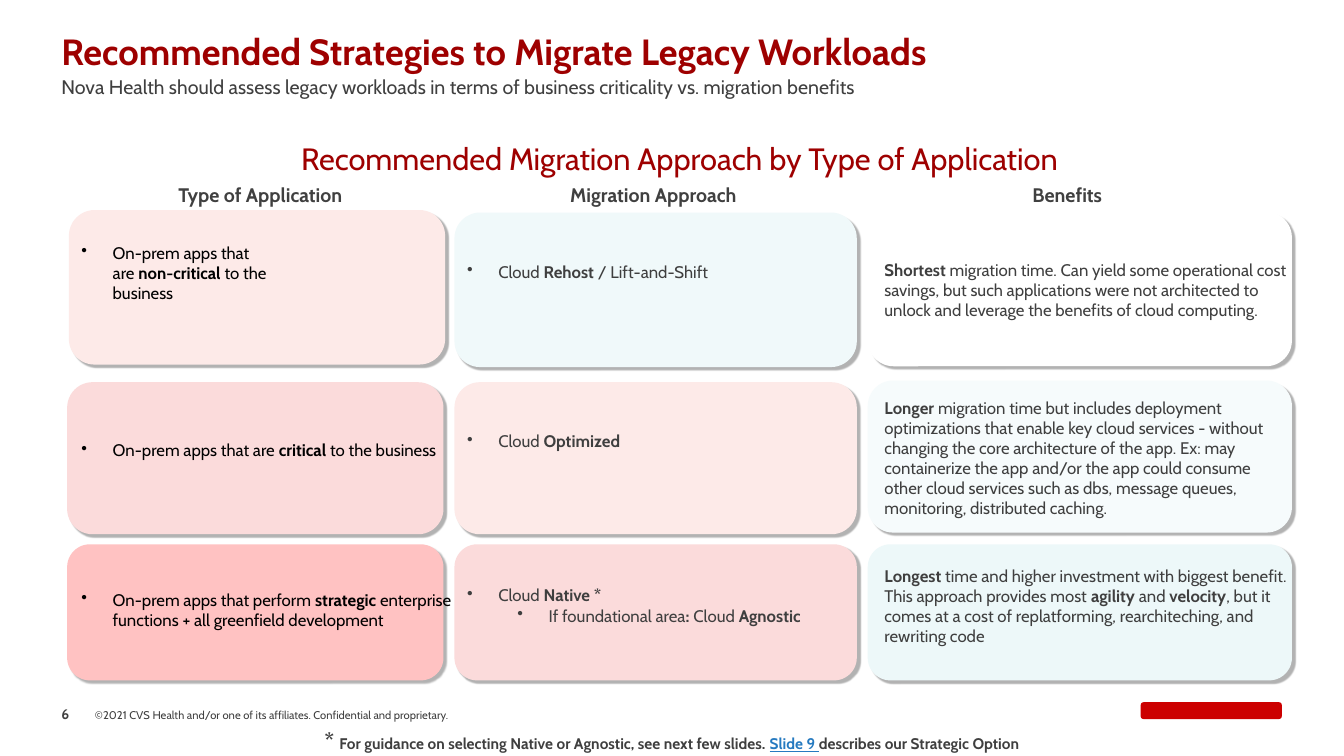
from dataclasses import dataclass

from lxml import etree
from pptx import Presentation
from pptx import util as u
from pptx.dml.color import RGBColor
from pptx.enum import shapes, text
from pptx.oxml.ns import qn


@dataclass(frozen=True)
class Theme:
    """Colours, type sizes and font of the slide."""
    font: str = "Cabin"
    red: str = "9E0000"
    mark: str = "CC0000"
    body: str = "3F3F3F"
    head: str = "404040"
    black: str = "000000"
    link: str = "267AC0"
    title: int = 26
    section: int = 22
    label: int = 14
    text: int = 12
    note: int = 11
    star: int = 16
    page: int = 10
    legal: int = 8


T = Theme()
COLS, ROWS = 160, 90
W, H = u.Inches(13.333), u.Inches(7.5)
LEFT, CENTER = text.PP_ALIGN.LEFT, text.PP_ALIGN.CENTER
TOP, MIDDLE, BOTTOM = text.MSO_ANCHOR.TOP, text.MSO_ANCHOR.MIDDLE, text.MSO_ANCHOR.BOTTOM

COLUMNS = [
    dict(name="Type of Application", head=(1.8, 58.4), x=8, w=44.8, inset=1.7, text_w=45.8, color=T.black),
    dict(name="Migration Approach", head=(55, 45.6), x=54.1, w=47.9, inset=1.5, text_w=46.2, color=T.body),
    dict(name="Benefits", head=(110.3, 33.5), x=103.3, w=50.5, inset=2, text_w=48.5, color=T.body),
]
STRATEGIES = [
    dict(y=25.2, h=18.4, cards=[
        dict(fill="FDEAE8", nudge=(0.2, -0.2), mid=7.25, text_w=22.9,
             paras=[(0, "On-prem apps that are |non-critical |to the business")]),
        dict(fill="F0F9FA", nudge=(0, 0.1), mid=7.15,
             paras=[(0, "Cloud |Rehost| / Lift-and-Shift")]),
        dict(fill="FFFFFF", mid=9.3,
             paras=[(None, "|Shortest| migration time. Can yield some operational cost savings, but such "
                           "applications were not architected to unlock and leverage the benefits of "
                           "cloud computing.")]),
    ]),
    dict(y=45.5, h=18.1, cards=[
        dict(fill="FBDBDB", mid=8.1,
             paras=[(0, "On-prem apps that are |critical| to the business")]),
        dict(fill="FDEAE8", mid=7,
             paras=[(0, "Cloud |Optimized")]),
        dict(fill="F6FBFC", nudge=(0, -0.2), mid=9,
             paras=[(None, "|Longer| migration time but includes deployment optimizations that enable key "
                           "cloud services - without changing the core architecture of the app. Ex: may "
                           "containerize the app and/or the app could consume other cloud services such "
                           "as dbs, message queues, monitoring, distributed caching.")]),
    ]),
    dict(y=64.8, h=16.2, cards=[
        dict(fill="FFC2C2", mid=7.75,
             paras=[(0, "On-prem apps that perform |strategic| enterprise functions + all greenfield "
                        "development")]),
        dict(fill="FBDBDB", mid=7.25,
             paras=[(0, "Cloud |Native *"),
                    (1, "If foundational area|: |Cloud |Agnostic")]),
        dict(fill="EDF8F9", mid=7.3,
             paras=[(None, "|Longest| time and higher investment with biggest benefit."),
                    (None, "This approach provides most |agility| and |velocity|, but it comes at a cost "
                           "of replatforming, rearchiteching, and rewriting code")]),
    ]),
]


def place(x, y, w, h):
    """Turn grid columns and rows into slide lengths."""
    return int(x * W / COLS), int(y * H / ROWS), int(w * W / COLS), int(h * H / ROWS)


def add_run(p, words, size, color, **fmt):
    """Append one formatted run to a paragraph."""
    r = p.add_run()
    r.text = words
    for key, value in dict(name=T.font, size=u.Pt(size), **fmt).items():
        setattr(r.font, key, value)
    r.font.color.rgb = RGBColor.from_string(color)


def add_bullet(p, level):
    """Give a paragraph a round bullet with a hanging indent."""
    p.level = level
    ppr = p._p.get_or_add_pPr()
    ppr.set("marL", str(u.Inches(0.31 + 0.5 * level)))
    ppr.set("indent", str(u.Inches(-0.31)))
    etree.SubElement(ppr, qn("a:buChar")).set("char", "•")


def add_frame(s, box, anchor=TOP, wrap=True, margins=(0, 0)):
    """Add an empty text box and return its frame."""
    tf = s.shapes.add_textbox(*place(*box)).text_frame
    mx, my = (u.Inches(m) for m in margins)
    fmt = dict(word_wrap=wrap, vertical_anchor=anchor, margin_left=mx, margin_right=mx,
               margin_top=my, margin_bottom=my)
    for key, value in fmt.items():
        setattr(tf, key, value)
    return tf


def add_line(s, box, words, size, color, bold=False, align=LEFT, anchor=TOP, spacing=None):
    """Add a one-paragraph text box in a single style."""
    p = add_frame(s, box, anchor).paragraphs[0]
    p.alignment = align
    p.line_spacing = spacing
    add_run(p, words, size, color, bold=bold)


def add_panel(s, box, fill, shape=shapes.MSO_SHAPE.ROUNDED_RECTANGLE):
    """Add a filled shape with neither line nor shadow."""
    sp = s.shapes.add_shape(shape, *place(*box))
    sp.shadow.inherit = False
    sp.fill.solid()
    sp.fill.fore_color.rgb = RGBColor.from_string(fill)
    sp.line.fill.background()
    return sp


def add_shadow(sp):
    """Drop a soft shadow to the lower right of a shape."""
    effects = sp._element.spPr.find(qn("a:effectLst"))
    shadow = etree.SubElement(effects, qn("a:outerShdw"), blurRad=str(u.Pt(1)), dist=str(u.Pt(3)),
                              dir="2700000", algn="tl", rotWithShape="0")
    color = etree.SubElement(shadow, qn("a:srgbClr"), val=T.black)
    etree.SubElement(color, qn("a:alpha"), val="30000")


def draw_header(s, x, y, w):
    """Draw the title and the line below it."""
    add_line(s, (x, y, w, 4.8), "Recommended Strategies to Migrate Legacy Workloads",
             T.title, T.red, bold=True, spacing=0.9)
    add_line(s, (x, y + 4.8, w, 5.5),
             "Nova Health should assess legacy workloads in terms of business criticality vs. "
             "migration benefits", T.label, T.body)


def draw_card(s, box, column, card):
    """Draw one card and its text."""
    x, y, w, h = box
    dx, dy = card.get("nudge", (0, 0))
    add_shadow(add_panel(s, (x + dx, y + dy, w, h), card["fill"]))
    tall = 14
    area = x + column["inset"], y + card["mid"] - tall / 2, card.get("text_w", column["text_w"]), tall
    tf = add_frame(s, area, MIDDLE)
    for i, (level, words) in enumerate(card["paras"]):
        p = tf.add_paragraph() if i else tf.paragraphs[0]
        if level is not None:
            add_bullet(p, level)
        for j, part in enumerate(words.split("|")):
            if part:
                add_run(p, part, T.text, column["color"], bold=j % 2 == 1)


def draw_matrix(s, x, y, w):
    """Draw the heading, the column heads and the grid of cards."""
    add_line(s, (x, y, w, 5.4), "Recommended Migration Approach by Type of Application",
             T.section, T.red, align=CENTER)
    for column in COLUMNS:
        left, width = column["head"]
        add_line(s, (left, y + 2.5, width, 8.2), column["name"], T.label, T.head,
                 bold=True, align=CENTER, anchor=MIDDLE)
    for row in STRATEGIES:
        for column, card in zip(COLUMNS, row["cards"]):
            draw_card(s, (column["x"], row["y"], column["w"], row["h"]), column, card)


def draw_footer(s, x, y):
    """Draw the page number, legal line, brand mark and footnote."""
    add_line(s, (x, y, 4, 3), "6", T.page, T.body, bold=True, anchor=MIDDLE)
    add_line(s, (x + 4, y + 0.8, 105.6, 1.6),
             "©2021 CVS Health and/or one of its affiliates. Confidential and proprietary.",
             T.legal, T.body, anchor=BOTTOM)
    add_panel(s, (x + 128.5, y + 0.1, 16.8, 2), T.mark)
    p = add_frame(s, (x + 23.9, y + 2.5, 97.6, 4.4), wrap=False, margins=(0.1, 0.05)).paragraphs[0]
    p.alignment = CENTER
    for words, size, color, underline in [
        ("* ", T.star, T.body, False),
        ("For guidance on selecting Native or Agnostic, see next few slides. ", T.note, T.body, False),
        ("Slide 9 ", T.note, T.link, True),
        ("describes our Strategic Option", T.note, T.body, False),
    ]:
        add_run(p, words, size, color, bold=True, underline=underline)


def main():
    """Build the slide and save it."""
    prs = Presentation()
    prs.slide_width, prs.slide_height = W, H
    s = prs.slides.add_slide(prs.slide_layouts[6])
    draw_header(s, 7.3, 4.1, 127)
    draw_matrix(s, 8, 16.6, 145.8)
    draw_footer(s, 7.3, 83.5)
    prs.save("out.pptx")


if __name__ == "__main__":
    main()
